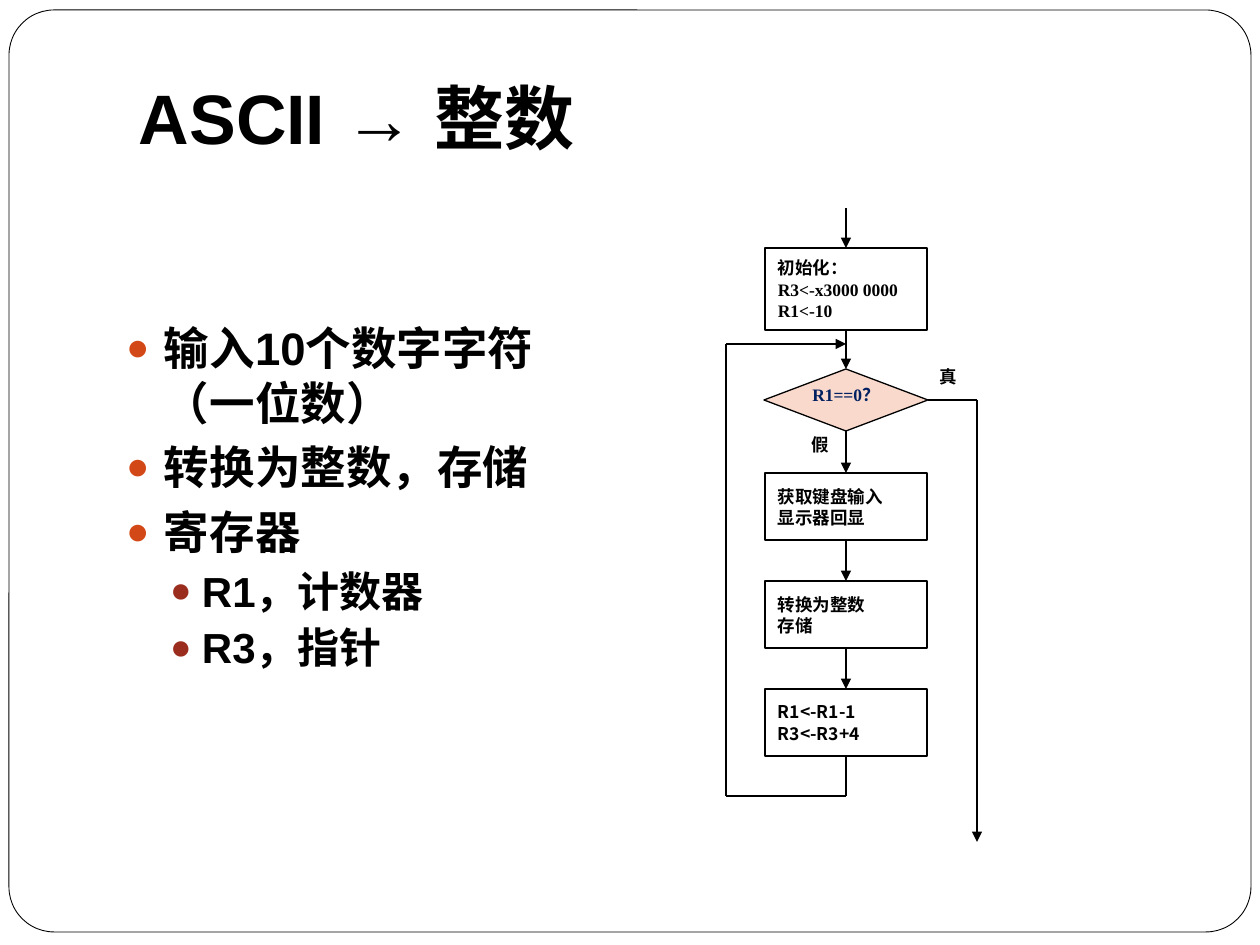
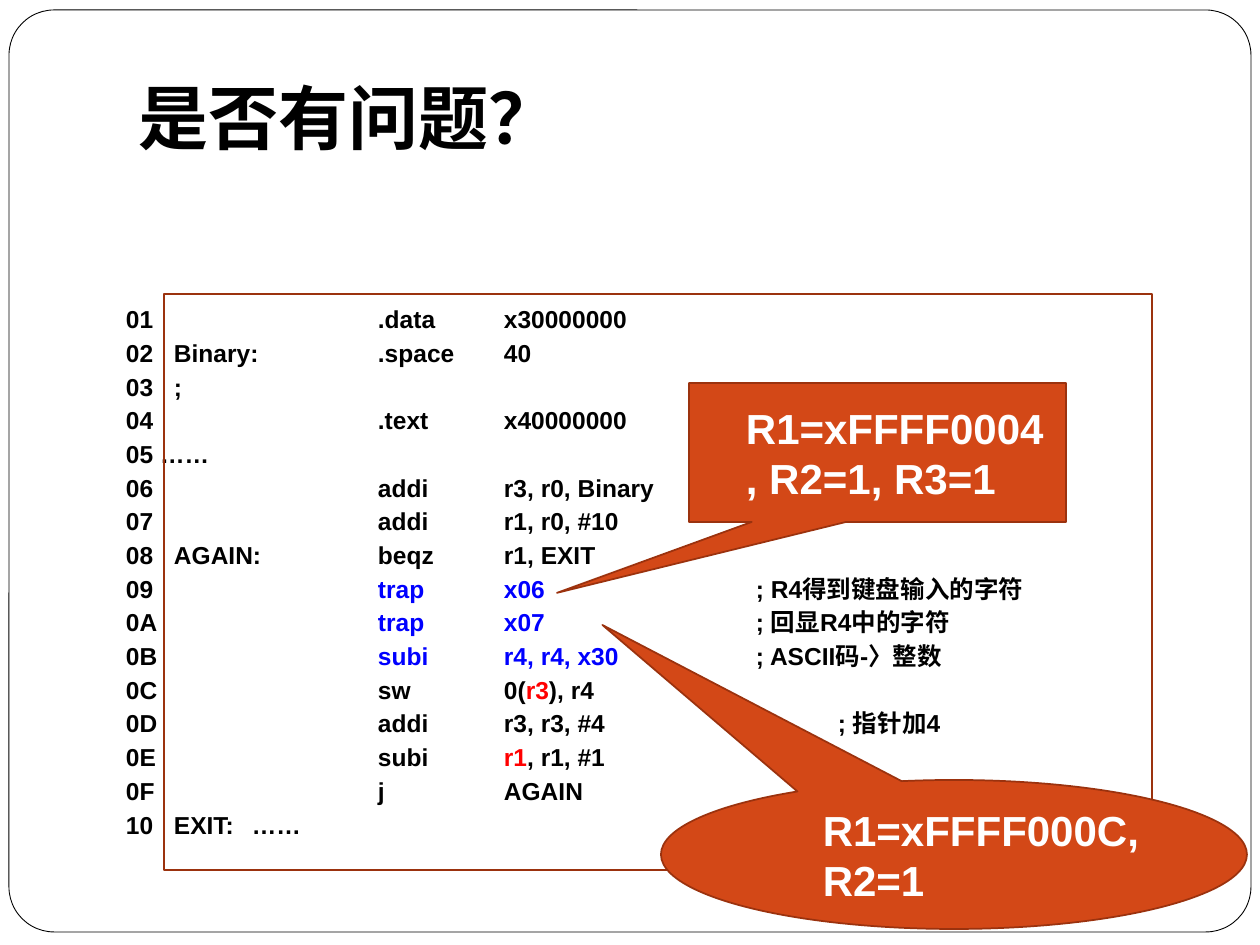
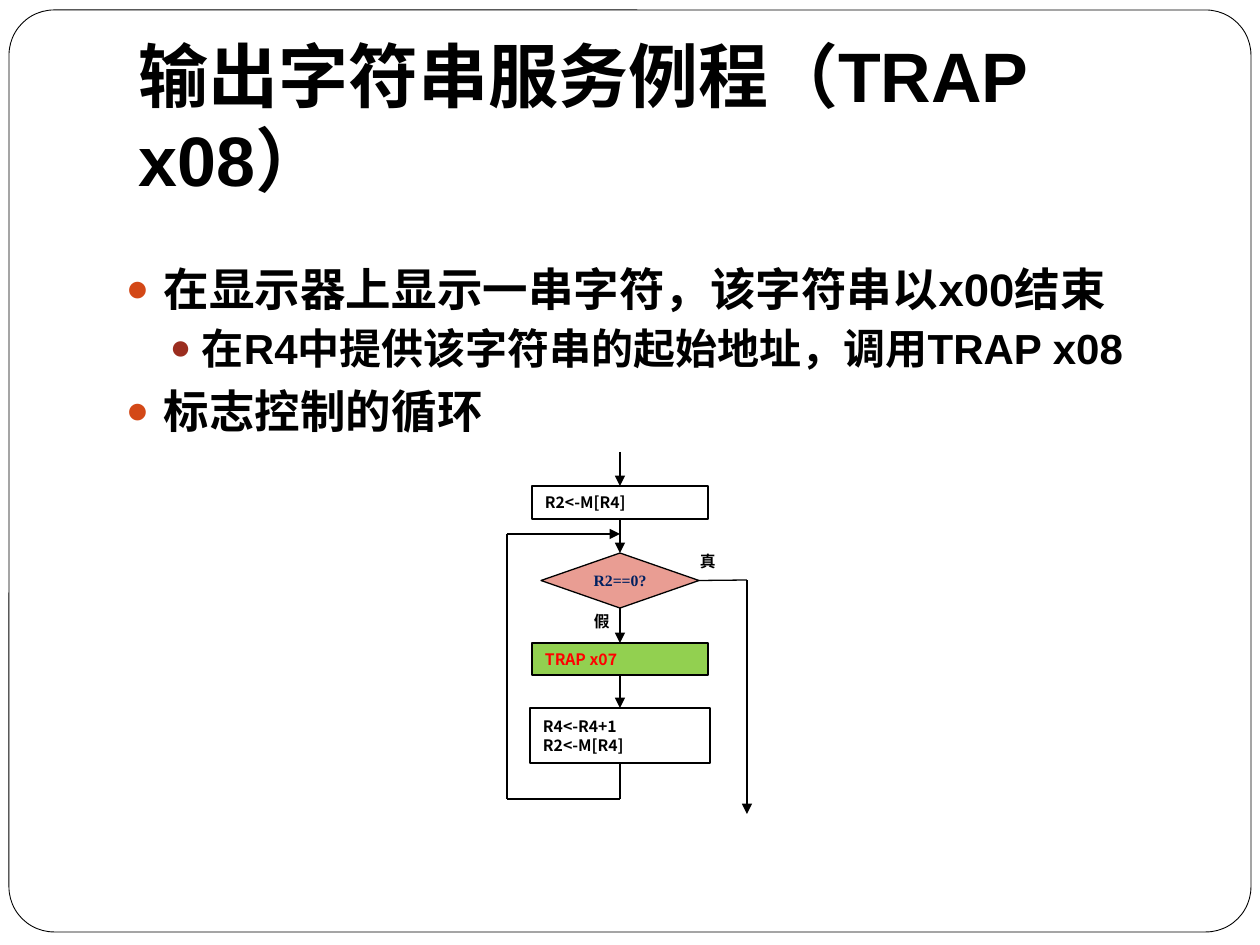
from lxml import etree
from pptx import Presentation
from pptx import util as u
from pptx.dml.color import RGBColor
from pptx.enum import shapes, text
from pptx.oxml import ns

PX = 914400 / 126
COLORS = {
    "ink": "000000", "paper": "FFFFFF", "navy": "002060", "blue": "0000FF",
    "red": "FF0000", "orange": "D34817", "brick": "9B2D1F", "rust": "9B320E",
    "peach": "FAD9CD", "rose": "E99D93", "green": "92D050",
}
SANS, SERIF, CJK = "Arial", "Times New Roman", "Noto Sans CJK SC"
TOP, MIDDLE = text.MSO_ANCHOR.TOP, text.MSO_ANCHOR.MIDDLE
CENTER, JUSTIFY = text.PP_ALIGN.CENTER, text.PP_ALIGN.JUSTIFY
RECT = shapes.MSO_SHAPE.RECTANGLE

# Bullet levels: indent, hanging width (px), space before, size (pt), colour
LEVELS = [(38, 38, 5.8, 26, "orange"), (76, 32, 3.7, 24, "brick")]
# Code columns after the line number: label, operation, operands, comment
CODE_STOPS = (48, 252, 378, 630)


def px(length):
    return u.Emu(round(length * PX))


def rgb(name):
    return RGBColor.from_string(COLORS[name])


def child(parent, tag, **attributes):
    values = {key: str(value) for key, value in attributes.items()}
    return etree.SubElement(parent, ns.qn(tag), values)


# ---- Text ----
def write(frame, lines, size=24, font=SANS, color="ink", align=text.PP_ALIGN.LEFT,
          anchor=TOP, insets=(13, 6), indent=0, before=0, spacing=None):
    """Fill a frame; a line is a string or a list of (string, colour) spans."""
    frame.word_wrap = True
    frame.auto_size = text.MSO_AUTO_SIZE.NONE
    frame.vertical_anchor = anchor
    frame.margin_left = frame.margin_right = px(insets[0])
    frame.margin_top = frame.margin_bottom = px(insets[1])
    for index, line in enumerate(lines):
        para = frame.paragraphs[0] if index == 0 else frame.add_paragraph()
        para.alignment = align
        para.space_before = u.Pt(before)
        if spacing:
            para.line_spacing = spacing
        if indent:
            para._p.get_or_add_pPr().set("marL", str(px(indent)))
        for words, shade in [(line, color)] if isinstance(line, str) else line:
            span = para.add_run()
            span.text = words
            span.font.size = u.Pt(size)
            span.font.bold = True
            span.font.color.rgb = rgb(shade)
            span.font.name = font
            child(span._r.get_or_add_rPr(), "a:ea", typeface=CJK)
    return frame


def add_text(slide, area, lines, **style):
    box = slide.shapes.add_textbox(*map(px, area))
    return write(box.text_frame, lines, **style)


def add_title(slide, words):
    title = slide.shapes.title
    title.left, title.top, title.width, title.height = map(px, (126, 38, 1071, 157))
    write(title.text_frame, [words], size=40, anchor=MIDDLE)


def add_bullets(slide, area, items):
    frame = add_text(slide, area, [words for _, words in items])
    for para, (level, _) in zip(frame.paragraphs, items):
        indent, hanging, before, size, color = LEVELS[level]
        para.level = level
        para.space_before = u.Pt(before)
        para.runs[0].font.size = u.Pt(size)
        properties = para._p.get_or_add_pPr()
        properties.set("marL", str(px(indent)))
        properties.set("indent", str(-px(hanging)))
        child(child(properties, "a:buClr"), "a:srgbClr", val=COLORS[color])
        child(properties, "a:buSzPct", val=85000)
        child(properties, "a:buFont", typeface=SANS)
        child(properties, "a:buChar", char="●")


def add_code(slide, area, rows):
    frame = add_text(slide, area, [line for line, _ in rows],
                     size=14, before=5.8, spacing=0.8)
    for para, (_, stops) in zip(frame.paragraphs, rows):
        tabs = child(para._p.get_or_add_pPr(), "a:tabLst")
        for stop in stops:
            child(tabs, "a:tab", pos=px(stop), algn="l")


# ---- Shapes and lines ----
def add_shape(slide, kind, area, fill=None, line="ink", weight=0.75, adjust=()):
    shape = slide.shapes.add_shape(kind, *map(px, area))
    shape.shadow.inherit = False
    for index, value in enumerate(adjust):
        shape.adjustments[index] = value
    if fill:
        shape.fill.solid()
        shape.fill.fore_color.rgb = rgb(fill)
    else:
        shape.fill.background()
    shape.line.color.rgb = rgb(line)
    shape.line.width = u.Pt(weight)
    return shape


def add_line(slide, start, end, arrow=False, start_joint=None, end_joint=None):
    line = slide.shapes.add_connector(
        shapes.MSO_CONNECTOR.STRAIGHT, *map(px, (*start, *end)))
    if start_joint:
        line.begin_connect(*start_joint)
    if end_joint:
        line.end_connect(*end_joint)
    line.line.color.rgb = rgb("ink")
    line.line.width = u.Pt(0.75)
    if arrow:
        child(line.line._get_or_add_ln(), "a:tailEnd", type="triangle")
    child(line._element.spPr, "a:effectLst")


def add_callout(slide, kind, area, words, adjust, indent):
    callout = add_shape(slide, kind, area, "orange", "rust", 1, adjust)
    write(callout.text_frame, [words], color="paper", anchor=MIDDLE, indent=indent)


def add_frame(slide):
    """Put the rounded page border on the layout, behind everything."""
    frame = add_shape(slide, shapes.MSO_SHAPE.ROUNDED_RECTANGLE, (9, 10, 1242, 922),
                      "paper", weight=0.5, adjust=[0.049])
    frame._element.nvSpPr.cNvPr.set("id", "20")
    slide.slide_layout.shapes.element.insert(2, frame._element)


# ---- Flowchart ----
def add_step(slide, axis, size, top, width, height, lines,
             fill="paper", color="ink", font=CJK):
    box = add_shape(slide, RECT, (axis - width // 2, top, width, height), fill)
    write(box.text_frame, lines, size=size, font=font, color=color,
          anchor=MIDDLE, insets=(13, 0))
    return box


def add_decision(slide, axis, size, top, width, height, words, fill, anchor):
    diamond = add_shape(slide, shapes.MSO_SHAPE.FLOWCHART_DECISION,
                        (axis - width // 2, top, width, height), fill)
    write(diamond.text_frame, [words], size=size, font=SERIF, color="navy",
          align=CENTER, anchor=anchor, insets=(0, 0))
    return diamond


def add_flowchart(slide, axis, size, anchor, entry, first, decision, body,
                  loop, way_out, labels):
    """Setup step, tested loop of body steps, and a way out to the right."""
    loop_left, loop_top, loop_bottom = loop
    out_x, out_bottom = way_out
    steps = [first, decision, *body]
    nodes = [add_step(slide, axis, size, **first),
             add_decision(slide, axis, size, anchor=anchor, **decision)]
    nodes += [add_step(slide, axis, size, **step) for step in body]

    # Main line downwards
    add_line(slide, (axis, entry), (axis, first["top"]), True,
             end_joint=(nodes[0], 0))
    for index in range(len(steps) - 1):
        upper, lower = steps[index], steps[index + 1]
        add_line(slide, (axis, upper["top"] + upper["height"]), (axis, lower["top"]),
                 True, (nodes[index], 2), (nodes[index + 1], 0))

    # Way back to the test
    last = steps[-1]
    corner = (axis, loop_bottom)
    add_line(slide, (axis, last["top"] + last["height"]), corner,
             start_joint=(nodes[-1], 2))
    add_line(slide, corner, (loop_left, loop_bottom))
    add_line(slide, (loop_left, loop_bottom), (loop_left, loop_top))
    add_line(slide, (loop_left, loop_top), (axis, loop_top), True)

    # Way out
    middle = decision["top"] + decision["height"] // 2
    add_line(slide, (axis + decision["width"] // 2, middle), (out_x, middle),
             start_joint=(nodes[1], 3))
    add_line(slide, (out_x, middle), (out_x, out_bottom), True)
    for words, area in labels.items():
        add_text(slide, area, [words], size=size, font=SERIF, align=JUSTIFY,
                 anchor=anchor)


# ---- Slides ----
def fill_conversion(slide):
    add_title(slide, "ASCII → 整数")
    box = {"width": 162, "height": 67}
    add_flowchart(
        slide, axis=846, size=10, anchor=TOP, entry=208,
        first=dict(top=248, width=162, height=82, font=SERIF,
                   lines=["初始化：", "R3<-x3000 0000", "R1<-10"]),
        decision=dict(top=369, width=164, height=62, words="R1==0？", fill="peach"),
        body=[dict(box, top=473, lines=["获取键盘输入", "显示器回显"]),
              dict(box, top=581, lines=["转换为整数", "存储"]),
              dict(box, top=689, lines=["R1<-R1-1", "R3<-R3+4"])],
        loop=(726, 344, 796), way_out=(977, 842),
        labels={"假": (798, 428, 44, 42), "真": (927, 360, 44, 42)})
    add_bullets(slide, (113, 314, 437, 556), [
        (0, "输入10个数字字符（一位数）"),
        (0, "转换为整数，存储"),
        (0, "寄存器"),
        (1, "R1，计数器"),
        (1, "R3，指针"),
    ])


def fill_program(slide):
    add_title(slide, "是否有问题？")
    pointer_stops = (*CODE_STOPS[:3], 712)
    exit_stops = (48, 126)

    def trap_row(number, code, comment):
        return [(number + "\t\t", "ink"), (code + "\t", "blue"), (comment, "ink")]

    rows = [
        "01\t\t.data\tx30000000",
        "02\tBinary:\t.space\t40",
        "03\t;",
        "04\t\t.text\tx40000000",
        "05 ……",
        "06\t\taddi\tr3, r0, Binary",
        "07\t\taddi\tr1, r0, #10",
        "08\tAGAIN:\tbeqz\tr1, EXIT",
        trap_row("09", "trap\tx06", "; R4得到键盘输入的字符"),
        trap_row("0A", "trap\tx07", "; 回显R4中的字符"),
        trap_row("0B", "subi\tr4, r4, x30", "; ASCII码-〉整数"),
        [("0C\t\tsw\t0(", "ink"), ("r3", "red"), ("), r4", "ink")],
        "0D\t\taddi\tr3, r3, #4\t; 指针加4",
        [("0E\t\tsubi\t", "ink"), ("r1", "red"), (", r1, #1", "ink")],
        "0F\t\tj\tAGAIN",
        "10\tEXIT:\t……",
    ]
    special = {12: pointer_stops, 15: exit_stops}
    add_code(slide, (113, 304, 1032, 566),
             [(row, special.get(index, CODE_STOPS)) for index, row in enumerate(rows)])
    add_shape(slide, RECT, (164, 294, 988, 576), line="rust", weight=1)
    add_callout(slide, shapes.MSO_SHAPE.RECTANGULAR_CALLOUT, (689, 383, 377, 139),
                "R1=xFFFF0004, R2=1, R3=1", (-0.85, 1.01), indent=44)
    add_callout(slide, shapes.MSO_SHAPE.OVAL_CALLOUT, (661, 780, 586, 149),
                "R1=xFFFF000C, R2=1", (-0.6, -1.54), indent=63)


def fill_string_output(slide):
    add_title(slide, "输出字符串服务例程（TRAP x08）")
    add_flowchart(
        slide, axis=620, size=9, anchor=MIDDLE, entry=452,
        first=dict(top=486, width=176, height=33, lines=["R2<-M[R4]"]),
        decision=dict(top=553, width=158, height=55, words="R2==0?", fill="rose"),
        body=[dict(top=643, width=176, height=32, lines=["TRAP x07"],
                   fill="green", color="red"),
              dict(top=708, width=180, height=55, lines=["R4<-R4+1", "R2<-M[R4]"])],
        loop=(507, 534, 799), way_out=(747, 814),
        labels={"假": (581, 602, 43, 39), "真": (687, 537, 45, 48)})
    add_bullets(slide, (113, 255, 1071, 198), [
        (0, "在显示器上显示一串字符，该字符串以x00结束"),
        (1, "在R4中提供该字符串的起始地址，调用TRAP x08"),
        (0, "标志控制的循环"),
    ])


def main():
    deck = Presentation()
    deck.slide_width, deck.slide_height = px(1260), px(945)
    layout = deck.slide_layouts[5]
    pages = [deck.slides.add_slide(layout) for _ in range(3)]
    add_frame(pages[0])
    for page, fill in zip(pages, (fill_conversion, fill_program, fill_string_output)):
        fill(page)
    deck.save("out.pptx")


if __name__ == "__main__":
    main()
